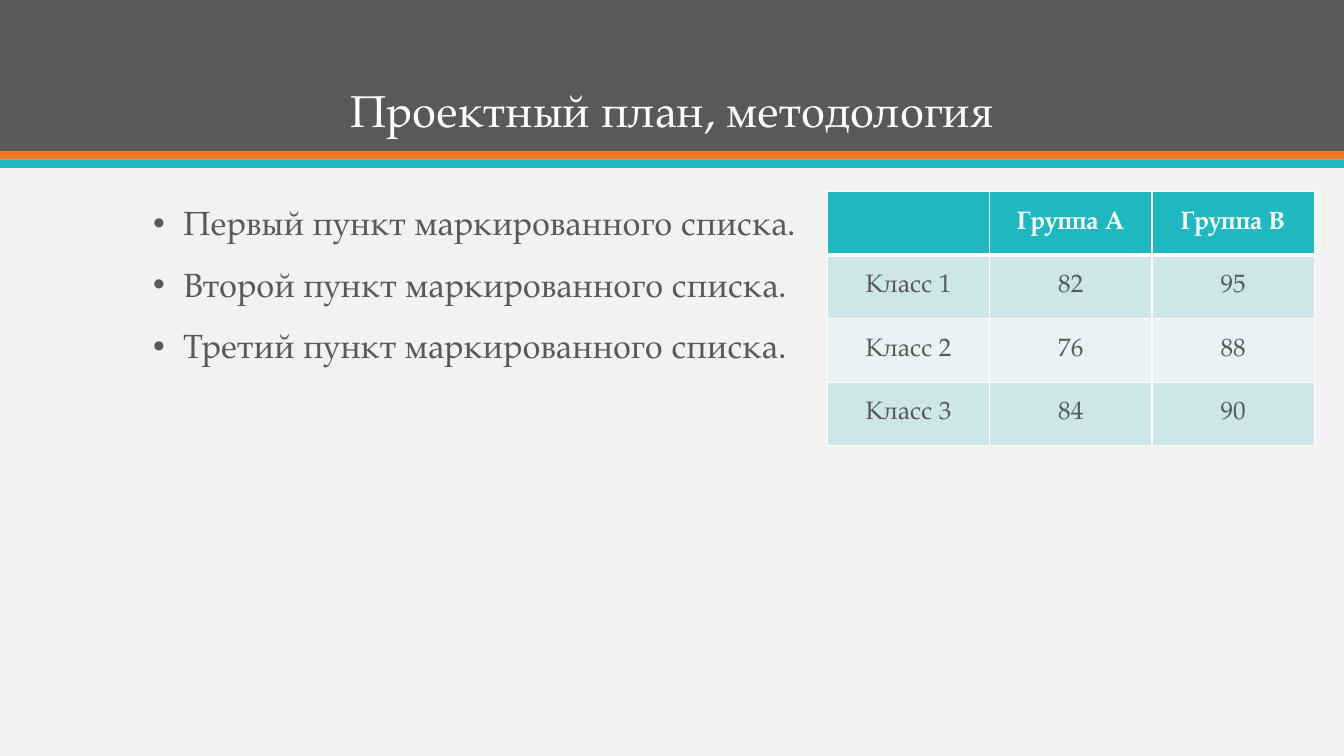
from dataclasses import dataclass

from lxml import etree
from pptx import Presentation
from pptx.dml.color import RGBColor
from pptx.enum.shapes import MSO_SHAPE
from pptx.enum.text import MSO_ANCHOR, PP_ALIGN
from pptx.oxml.ns import qn
from pptx.util import Cm, Pt

RECTANGLE = MSO_SHAPE.RECTANGLE
CENTER = PP_ALIGN.CENTER
TOP, MIDDLE, BOTTOM = MSO_ANCHOR.TOP, MSO_ANCHOR.MIDDLE, MSO_ANCHOR.BOTTOM

TITLE = "Проектный план, методология"
POINTS = [
    "Первый пункт маркированного списка.",
    "Второй пункт маркированного списка.",
    "Третий пункт маркированного списка.",
]
SCORES = [
    ("", "Группа A", "Группа B"),
    ("Класс 1", "82", "95"),
    ("Класс 2", "76", "88"),
    ("Класс 3", "84", "90"),
]


@dataclass(frozen=True)
class Theme:
    """Colours, font and type sizes."""
    font: str = "TeX Gyre Pagella"
    background: str = "F2F2F2"
    dark: str = "595959"
    orange: str = "EF7920"
    teal: str = "1EB8C1"
    white: str = "FFFFFF"
    row_tints: tuple = ("CDE6E9", "E8F3F4")
    title_size: int = 32
    point_size: int = 24
    table_size: int = 18
    thin_rule: int = 1
    thick_rule: int = 3


THEME = Theme()
SLIDE_WIDTH, SLIDE_HEIGHT = 33.87, 19.05
BANDS = [(3.81, THEME.dark), (0.21, THEME.orange), (0.21, THEME.teal)]
TEXT_LEFT, TEXT_WIDTH = 3.61, 26.67
COLUMN_WIDTH, ROW_HEIGHT = 4.09, 1.6
POINT_INDENT = 0.76


def paint(target, colour):
    """Give a shape, cell or background a solid fill."""
    target.fill.solid()
    target.fill.fore_color.rgb = RGBColor.from_string(colour)


def style(paragraph, size, colour, bold=False):
    """Set the font of a whole paragraph."""
    font = paragraph.font
    font.name, font.size, font.bold = THEME.font, Pt(size), bold
    font.color.rgb = RGBColor.from_string(colour)


def add_bands(slide):
    """Stack the full-width header bands from the top edge."""
    top = 0
    for height, colour in BANDS:
        band = slide.shapes.add_shape(
            RECTANGLE, Cm(0), Cm(top), Cm(SLIDE_WIDTH), Cm(height))
        paint(band, colour)
        band.line.fill.background()
        band.shadow.inherit = False
        top += height


def add_text(slide, lines, top, height, anchor, size, colour):
    """Add a text box, one paragraph per line, and return the paragraphs."""
    frame = slide.shapes.add_textbox(
        Cm(TEXT_LEFT), Cm(top), Cm(TEXT_WIDTH), Cm(height)).text_frame
    frame.word_wrap = True
    frame.vertical_anchor = anchor
    frame.text = "\n".join(lines)
    for paragraph in frame.paragraphs:
        paragraph.line_spacing = 0.9
        style(paragraph, size, colour)
    return frame.paragraphs


def add_bullet(paragraph):
    """Turn a paragraph into a bullet point with a hanging indent."""
    paragraph.space_before = Pt(18)
    properties = paragraph._p.get_or_add_pPr()
    properties.set("marL", str(Cm(POINT_INDENT)))
    properties.set("indent", str(-Cm(POINT_INDENT)))
    bullet_font = etree.Element(qn("a:buFont"), typeface="Arial")
    bullet = etree.Element(qn("a:buChar"), char="•")
    properties.insert_element_before(bullet_font, "a:tabLst", "a:defRPr", "a:extLst")
    properties.insert_element_before(bullet, "a:tabLst", "a:defRPr", "a:extLst")


def add_borders(cell, widths):
    """Draw white borders; widths are points for left, right, top, bottom."""
    properties = cell._tc.get_or_add_tcPr()
    for position, (side, width) in enumerate(zip("LRTB", widths)):
        border = etree.Element(qn(f"a:ln{side}"), w=str(Pt(width)))
        fill = etree.SubElement(border, qn("a:solidFill"))
        etree.SubElement(fill, qn("a:srgbClr"), val=THEME.white)
        properties.insert(position, border)


def add_scores(slide, left, top):
    """Add the table of scores with a header row and alternating tints."""
    rows, columns = len(SCORES), len(SCORES[0])
    table = slide.shapes.add_table(
        rows, columns, Cm(left), Cm(top),
        Cm(columns * COLUMN_WIDTH), Cm(rows * ROW_HEIGHT)).table
    thin, thick = THEME.thin_rule, THEME.thick_rule
    for row, values in enumerate(SCORES):
        header = row == 0
        fill = THEME.teal if header else THEME.row_tints[(row - 1) % 2]
        colour = THEME.white if header else THEME.dark
        above = thick if row == 1 else thin
        below = thick if header else thin
        for column, value in enumerate(values):
            cell = table.cell(row, column)
            cell.text = value
            cell.vertical_anchor = MIDDLE
            paint(cell, fill)
            add_borders(cell, (thin, thin, above, below))
            paragraph = cell.text_frame.paragraphs[0]
            paragraph.alignment = CENTER
            style(paragraph, THEME.table_size, colour, bold=header)


def main():
    """Build and save the slide."""
    deck = Presentation()
    deck.slide_width, deck.slide_height = Cm(SLIDE_WIDTH), Cm(SLIDE_HEIGHT)
    slide = deck.slides.add_slide(deck.slide_layouts[6])
    paint(slide.background, THEME.background)
    add_bands(slide)
    title = add_text(slide, [TITLE], 0.71, 2.87, BOTTOM, THEME.title_size, THEME.white)
    title[0].alignment = CENTER
    for point in add_text(slide, POINTS, 5.08, 12.07, TOP, THEME.point_size, THEME.dark):
        add_bullet(point)
    add_scores(slide, 20.85, 4.83)
    deck.save("out.pptx")


main()
